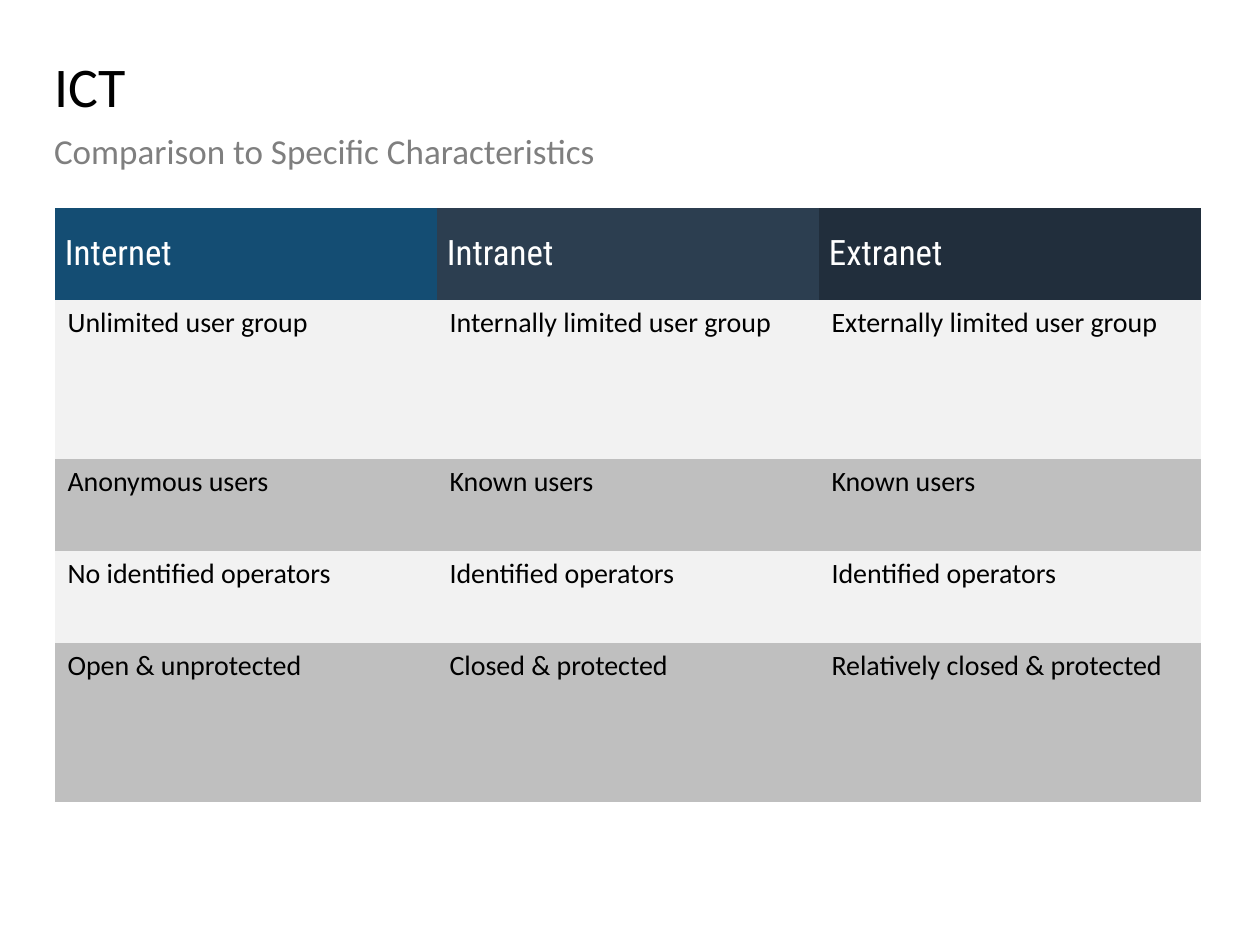
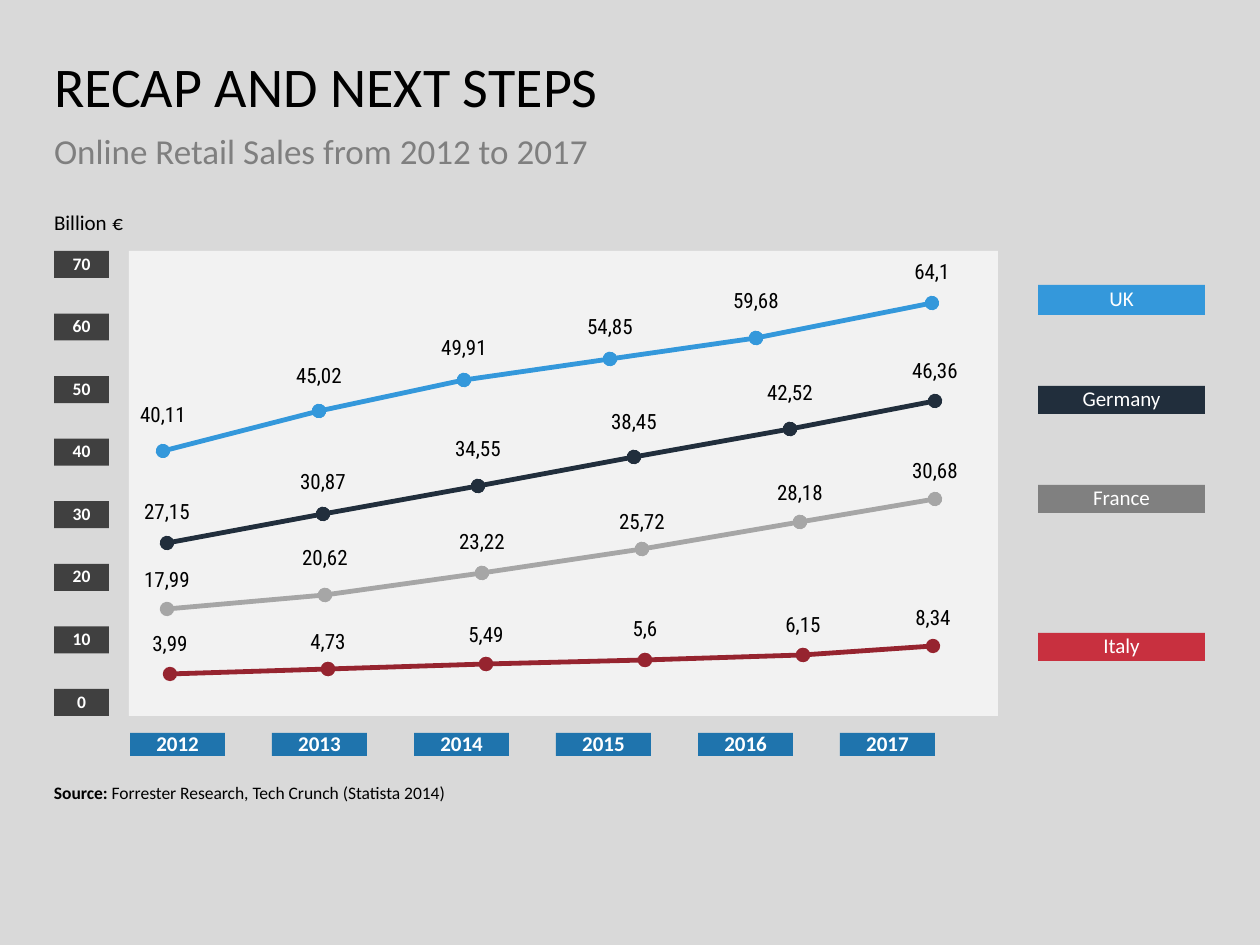
from collections import namedtuple
from itertools import pairwise

from lxml.etree import SubElement
from pptx import Presentation
from pptx.dml.color import RGBColor
from pptx.enum.shapes import MSO_CONNECTOR as Connector, MSO_SHAPE as Preset
from pptx.enum.text import MSO_ANCHOR as Anchor, PP_ALIGN as Align
from pptx.oxml.ns import qn
from pptx.util import Inches, Pt

# Colours
WHITE = RGBColor(0xFF, 0xFF, 0xFF)
BLACK = RGBColor(0x00, 0x00, 0x00)
PAGE_GREY = RGBColor(0xD9, 0xD9, 0xD9)
SUBTITLE_GREY = RGBColor(0x7F, 0x7F, 0x7F)
PALE_GREY = RGBColor(0xF2, 0xF2, 0xF2)
ROW_GREY = RGBColor(0xBF, 0xBF, 0xBF)
AXIS_GREY = RGBColor(0x40, 0x40, 0x40)
LEGEND_GREY = RGBColor(0x80, 0x80, 0x80)
LINE_GREY = RGBColor(0xA6, 0xA6, 0xA6)
DEEP_BLUE = RGBColor(0x14, 0x4D, 0x73)
SLATE = RGBColor(0x2C, 0x3E, 0x50)
NAVY = RGBColor(0x21, 0x2E, 0x3C)
SKY = RGBColor(0x34, 0x98, 0xDB)
YEAR_BLUE = RGBColor(0x1F, 0x74, 0xAD)
RED = RGBColor(0xC8, 0x30, 0x3F)
DARK_RED = RGBColor(0x96, 0x24, 0x2F)

# Text formats
BODY, CONDENSED = "Calibri", "Roboto Condensed"
TITLE = dict(name=BODY, size=32, color=BLACK)
SUBTITLE = dict(name=BODY, size=20, color=SUBTITLE_GREY)
HEADING = dict(name=CONDENSED, size=20, color=WHITE)
CELL = dict(name=BODY, size=16, color=BLACK)
VALUE = dict(name=CONDENSED, size=12, color=BLACK)
LEGEND = dict(name=BODY, size=12, color=WHITE)
YEAR = LEGEND | dict(bold=True)
TICK = YEAR | dict(size=10)
UNIT = dict(name=BODY, size=12, color=BLACK)
SOURCE = dict(name=BODY, size=10, color=BLACK)

# Geometry in px, 126 to the inch
Box = namedtuple("Box", "left top width height")
HEAD = Box(54, 59, 1150, 149)
TABLE = Box(55, 208, 1146, 594)
PLOT = Box(129, 251, 869, 465)
TICKS = Box(54, 251, 55, 465)
YEARS = Box(130, 733, 805, 23)
KEYS = Box(1038, 285, 167, 376)
NO_GRID_STYLE = "{2D5ABB26-0587-4C30-8999-92F81FD0307C}"

COLUMNS = [("Internet", DEEP_BLUE), ("Intranet", SLATE), ("Extranet", NAVY)]
ROWS = [
    ("Unlimited user group", "Internally limited user group", "Externally limited user group"),
    ("Anonymous users", "Known users", "Known users"),
    ("No identified operators", "Identified operators", "Identified operators"),
    ("Open & unprotected", "Closed & protected", "Relatively closed & protected"),
]
ROW_HEIGHTS = [92, 159, 92, 92, 159]

# Each point: value, x and y inside the plot, distance of the label above it
SERIES = [
    (SKY, [("40,11", 34, 200, 35), ("45,02", 190, 160, 34), ("49,91", 335, 129, 31),
           ("54,85", 481, 108, 31), ("59,68", 627, 87, 36), ("64,1", 803, 52, 30)]),
    (NAVY, [("27,15", 38, 292, 30), ("30,87", 194, 263, 31), ("34,55", 349, 235, 36),
            ("38,45", 505, 206, 34), ("42,52", 661, 178, 35), ("46,36", 806, 150, 29)]),
    (LINE_GREY, [("17,99", 38, 358, 28), ("20,62", 196, 344, 36), ("23,22", 353, 322, 30),
                 ("25,72", 513, 298, 26), ("28,18", 671, 271, 28), ("30,68", 806, 248, 27)]),
    (DARK_RED, [("3,99", 41, 423, 29), ("4,73", 199, 418, 26), ("5,49", 357, 413, 28),
                ("5,6", 516, 409, 30), ("6,15", 674, 404, 29), ("8,34", 804, 395, 27)]),
]
# Each key: country, colour, offset from the top of the legend, height
COUNTRIES = [("UK", SKY, 0, 30), ("Germany", NAVY, 101, 28),
             ("France", LEGEND_GREY, 200, 28), ("Italy", RED, 348, 28)]


def px(length):
    return round(length * Inches(1) / 126)


def set_font(font, style):
    for key, value in style.items():
        if key == "color":
            font.color.rgb = value
        else:
            setattr(font, key, Pt(value) if key == "size" else value)


def write(frame, runs, inset=0, centred=False):
    """Fill a text frame with one paragraph of (text, style) runs."""
    frame.word_wrap = True
    for side in ("left", "top", "right", "bottom"):
        setattr(frame, f"margin_{side}", px(inset))
    frame.vertical_anchor = Anchor.MIDDLE if centred else Anchor.TOP
    para = frame.paragraphs[0]
    para.line_spacing = 0.9
    para.alignment = Align.CENTER if centred else Align.LEFT
    for text, style in runs:
        span = para.add_run()
        span.text = text
        set_font(span.font, style)


def add_text(page, box, *runs, **layout):
    shape = page.shapes.add_textbox(*map(px, box))
    write(shape.text_frame, runs, **layout)


def add_block(page, box, fill, text="", style=None):
    shape = page.shapes.add_shape(Preset.RECTANGLE, *map(px, box))
    shape.shadow.inherit = False
    shape.fill.solid()
    shape.fill.fore_color.rgb = fill
    shape.line.fill.background()
    if text:
        write(shape.text_frame, [(text, style)], inset=5, centred=True)


def add_segment(page, start, end, color):
    line = page.shapes.add_connector(Connector.STRAIGHT, *map(px, start + end))
    line.line.color.rgb = color
    line.line.width = Pt(2.75)
    outline = line.line._get_or_add_ln()
    for tag in ("a:headEnd", "a:tailEnd"):
        SubElement(outline, qn(tag), type="oval")
    SubElement(line._element.spPr, qn("a:effectLst"))


def add_page(deck, background, title, subtitle):
    page = deck.slides.add_slide(deck.slide_layouts[6])
    page.background.fill.solid()
    page.background.fill.fore_color.rgb = background
    add_text(page, HEAD, (title, TITLE))
    add_text(page, HEAD._replace(top=HEAD.top + 75, height=74), (subtitle, SUBTITLE))
    return page


def fill_cell(cell, text, style, fill):
    cell.fill.solid()
    cell.fill.fore_color.rgb = fill
    cell.text = text
    set_font(cell.text_frame.paragraphs[0].runs[0].font, style)


def add_comparison(page, box):
    frame = page.shapes.add_table(len(ROW_HEIGHTS), len(COLUMNS), *map(px, box))
    for style_id in frame._element.iter(qn("a:tableStyleId")):
        style_id.text = NO_GRID_STYLE
    table = frame.table
    table.first_row = table.horz_banding = False
    for row, height in zip(table.rows, ROW_HEIGHTS):
        row.height = px(height)
    for index, (heading, color) in enumerate(COLUMNS):
        table.columns[index].width = px(box.width / len(COLUMNS))
        top_cell = table.cell(0, index)
        fill_cell(top_cell, heading, HEADING, color)
        top_cell.vertical_anchor = Anchor.MIDDLE
        top_cell.margin_left = top_cell.margin_right = px(10)
        for number, texts in enumerate(ROWS, start=1):
            fill = PALE_GREY if number % 2 else ROW_GREY
            fill_cell(table.cell(number, index), texts[index], CELL, fill)


def add_plot(page, box):
    add_block(page, box, PALE_GREY)
    for color, points in SERIES:
        places = [(box.left + x, box.top + y) for _, x, y, _ in points]
        for start, end in pairwise(places):
            add_segment(page, start, end, color)
        for (value, _, _, rise), (x, y) in zip(points, places):
            label = Box(x - 45, y - rise - 15, 90, 30)
            add_text(page, label, (value, VALUE), inset=5, centred=True)


def add_ticks(page, box):
    height = 27
    step = (box.height - height) / 7
    for index in range(8):
        tick = box._replace(top=box.top + index * step, height=height)
        add_block(page, tick, AXIS_GREY, str(70 - 10 * index), TICK)


def add_years(page, box):
    width = 95
    step = (box.width - width) / 5
    for index in range(6):
        year = box._replace(left=box.left + index * step, width=width)
        add_block(page, year, YEAR_BLUE, str(2012 + index), YEAR)


def add_keys(page, box):
    for country, color, offset, height in COUNTRIES:
        key = box._replace(top=box.top + offset, height=height)
        add_block(page, key, color, country, LEGEND)


def main():
    deck = Presentation()
    deck.slide_width, deck.slide_height = Inches(10), Inches(7.5)

    # Comparison table
    page = add_page(deck, WHITE, "ICT", "Comparison to Specific Characteristics")
    add_comparison(page, TABLE)

    # Retail sales lines
    page = add_page(deck, PAGE_GREY, "RECAP AND NEXT STEPS",
                    "Online Retail Sales from 2012 to 2017")
    add_text(page, Box(54, 209, 107, 26),
             ("Billion", UNIT), (" ", UNIT | dict(size=14)), ("€", UNIT))
    add_ticks(page, TICKS)
    add_plot(page, PLOT)
    add_years(page, YEARS)
    add_keys(page, KEYS)
    add_text(page, Box(54, 784, 416, 18), ("Source: ", SOURCE | dict(bold=True)),
             ("Forrester Research, Tech Crunch (Statista 2014)", SOURCE))

    deck.save("out.pptx")


if __name__ == "__main__":
    main()
